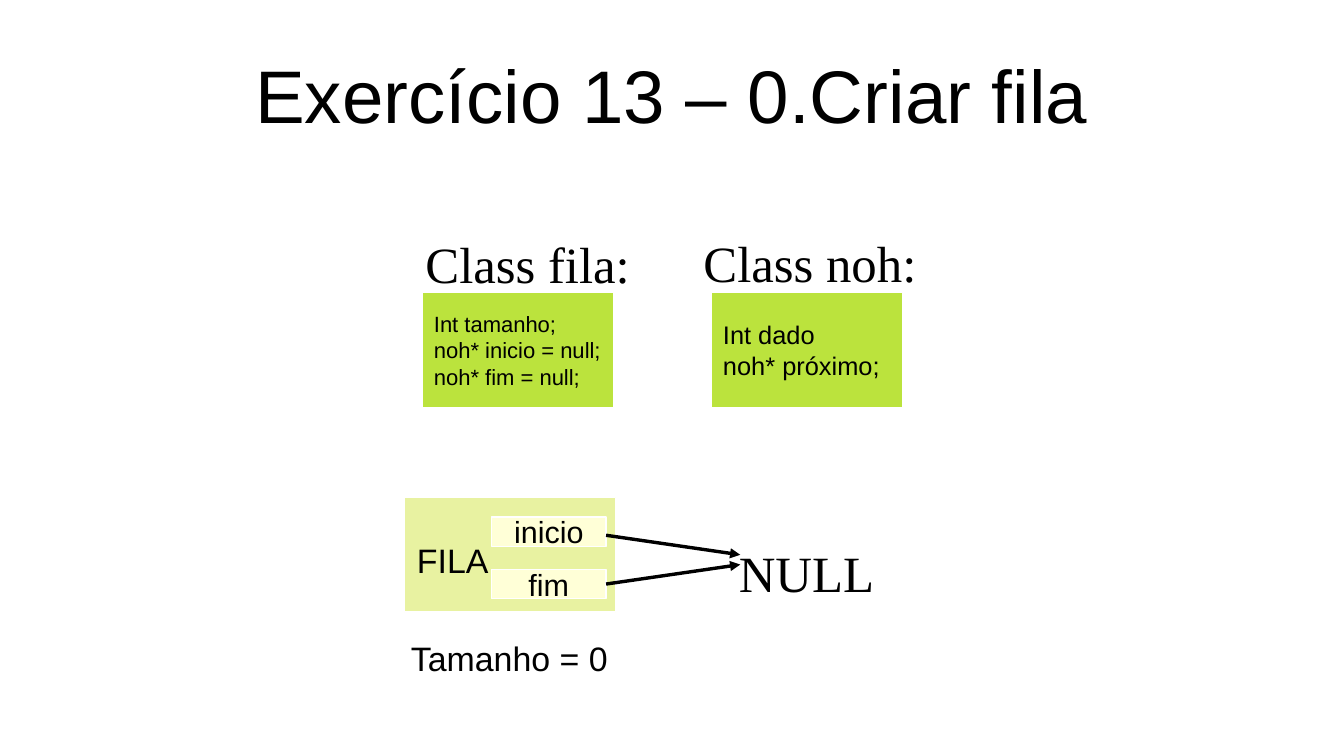
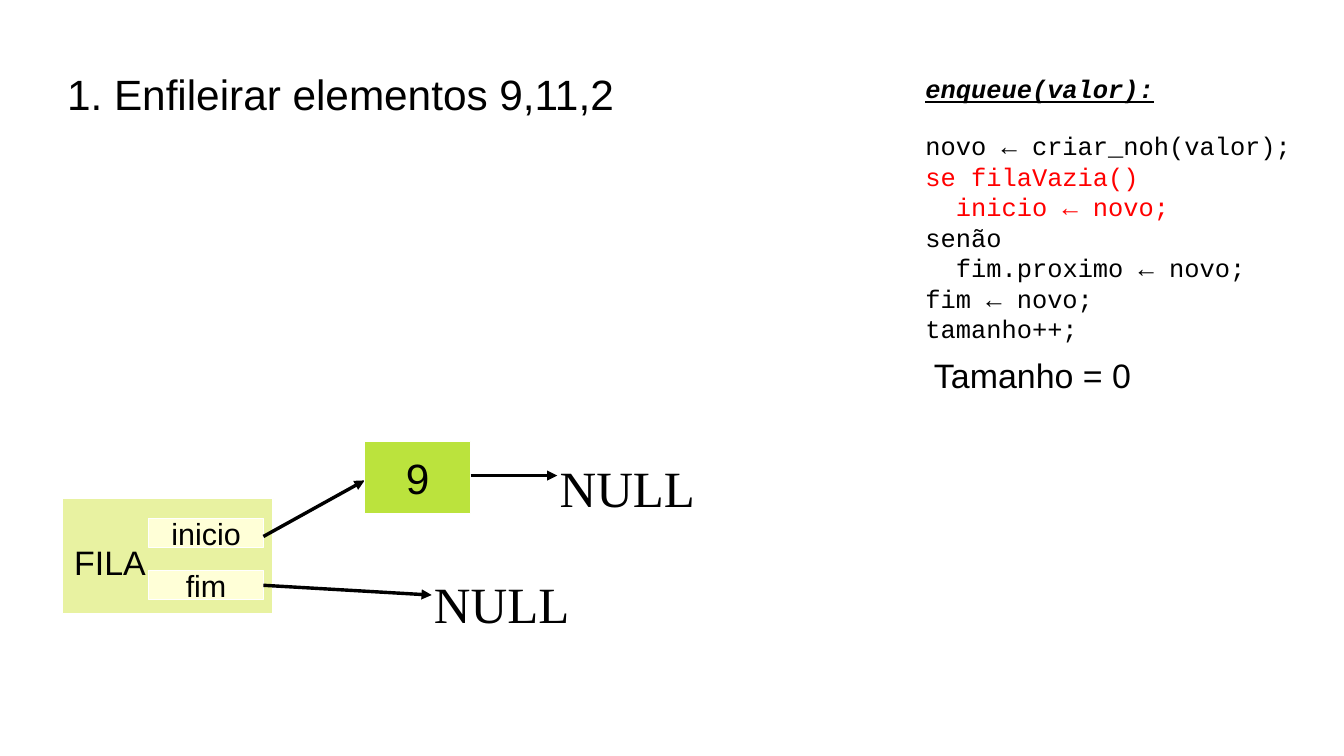
from dataclasses import dataclass, replace

from lxml.etree import SubElement
from pptx import Presentation
from pptx.dml.color import RGBColor
from pptx.enum.shapes import MSO_CONNECTOR, MSO_SHAPE
from pptx.enum.text import MSO_ANCHOR, PP_ALIGN
from pptx.oxml.ns import qn
from pptx.slide import Slide
from pptx.text.text import TextFrame
from pptx.util import Inches, Pt


@dataclass(frozen=True)
class Style:
    size: float
    font: str = "Arial"
    color: str = "000000"
    strong: bool = False  # bold, italic and underlined


@dataclass(frozen=True)
class Theme:
    green: str = "BBE33D"
    pale: str = "E8F2A1"
    cream: str = "FFFFD7"
    white: str = "FFFFFF"
    black: str = "000000"
    red: str = "FF0000"
    title: Style = Style(44)
    task: Style = Style(25)
    label: Style = Style(20)
    cell: Style = Style(18)
    serif: Style = Style(30, "Times New Roman")
    code: Style = Style(15, "Courier New")


@dataclass(frozen=True)
class Line:
    text: str
    style: Style
    indent: float = 0
    after: float = 0


@dataclass(frozen=True)
class Area:
    left: float
    top: float
    width: float
    height: float


Point = tuple[float, float]
LEFT, MID = PP_ALIGN.LEFT, PP_ALIGN.CENTER
THEME = Theme()
TITLE = Area(0.55, 0.25, 9.92, 1.04)


def place(area: Area) -> list[int]:
    return [Inches(n) for n in (area.left, area.top, area.width, area.height)]


def write(frame: TextFrame, lines: list[Line], align: PP_ALIGN) -> None:
    for i, line in enumerate(lines):
        para = frame.add_paragraph() if i else frame.paragraphs[0]
        para.alignment = align
        para.space_after = Pt(line.after)
        if line.indent:
            para._p.get_or_add_pPr().set("marL", str(Inches(line.indent)))
        run = para.add_run()
        run.text = line.text
        font, style = run.font, line.style
        font.name, font.size = style.font, Pt(style.size)
        font.color.rgb = RGBColor.from_string(style.color)
        font.bold = font.italic = font.underline = style.strong


def add_text(slide: Slide, area: Area, lines: list[Line]) -> None:
    frame = slide.shapes.add_textbox(*place(area)).text_frame
    frame.word_wrap = True
    write(frame, lines, LEFT)


def add_title(slide: Slide, text: str, style: Style, align: PP_ALIGN) -> None:
    frame = slide.shapes.add_textbox(*place(TITLE)).text_frame
    frame.word_wrap = True
    frame.vertical_anchor = MSO_ANCHOR.MIDDLE
    frame.margin_left = frame.margin_right = 0
    frame.margin_top = frame.margin_bottom = 0
    write(frame, [Line(text, style)], align)


def add_box(slide: Slide, area: Area, fill: str, lines: list[Line],
            align: PP_ALIGN = MID) -> None:
    box = slide.shapes.add_shape(MSO_SHAPE.RECTANGLE, *place(area))
    box.shadow.inherit = False
    box.fill.solid()
    box.fill.fore_color.rgb = RGBColor.from_string(fill)
    box.line.color.rgb = RGBColor.from_string(THEME.white)
    box.line.width = Pt(0)
    box.text_frame.word_wrap = False
    box.text_frame.vertical_anchor = MSO_ANCHOR.MIDDLE
    write(box.text_frame, lines, align)


def add_arrow(slide: Slide, start: Point, end: Point) -> None:
    ends = [Inches(n) for n in (*start, *end)]
    arrow = slide.shapes.add_connector(MSO_CONNECTOR.STRAIGHT, *ends)
    arrow.line.color.rgb = RGBColor.from_string(THEME.black)
    arrow.line.width = Pt(0)
    props = arrow.element.spPr
    SubElement(props.find(qn("a:ln")), qn("a:tailEnd"), type="triangle")
    SubElement(props, qn("a:effectLst"))


def add_null(slide: Slide, left: float, top: float) -> None:
    add_text(slide, Area(left, top, 1.34, 0.52), [Line("NULL", THEME.serif)])


def add_count(slide: Slide, left: float, top: float) -> None:
    add_text(slide, Area(left, top, 1.89, 0.41),
             [Line("Tamanho = 0", THEME.label)])


def add_queue(slide: Slide, left: float, top: float,
              first: Point, last: Point) -> None:
    """Draw the queue and the arrows that leave its two cells."""
    add_box(slide, Area(left, top, 1.73, 0.94), THEME.pale, [])
    cells = (("inicio", 0.16, 0.31, first), ("fim", 0.59, 0.71, last))
    for name, drop, exit_drop, end in cells:
        area = Area(left + 0.71, top + drop, 0.94, 0.24)
        add_box(slide, area, THEME.cream, [Line(name, THEME.cell)])
        add_arrow(slide, (left + 1.65, top + exit_drop), end)
    add_text(slide, Area(left, top + 0.3, 0.79, 0.41),
             [Line("FILA", THEME.label)])


def add_class(slide: Slide, left: float, head: Area, name: str,
              size: float, fields: list[str]) -> None:
    lines = [Line(field, Style(size)) for field in fields]
    add_box(slide, Area(left, 2.4, 1.57, 0.94), THEME.green, lines, LEFT)
    add_text(slide, head, [Line(name, THEME.serif)])


def draw_start(slide: Slide) -> None:
    add_title(slide, "Exercício 13 – 0.Criar fila", THEME.title, MID)
    # Classes
    add_class(slide, 3.46, Area(3.39, 1.86, 1.89, 0.54), "Class fila:", 13,
              ["Int tamanho;", "noh* inicio = null;", "noh* fim = null;"])
    add_class(slide, 5.83, Area(5.67, 1.85, 1.97, 0.54), "Class noh:", 15,
              ["Int dado", "noh* próximo;"])
    # Empty queue
    add_queue(slide, 3.32, 4.08, (6.07, 4.55), (6.07, 4.63))
    add_null(slide, 5.96, 4.39)
    add_count(slide, 3.27, 5.18)


def draw_push(slide: Slide) -> None:
    add_title(slide, "1. Enfileirar elementos 9,11,2", THEME.task, LEFT)
    # Queue and first node
    add_queue(slide, 0.51, 4.09, (2.99, 3.94), (3.54, 4.88))
    add_null(slide, 3.46, 4.65)
    add_box(slide, Area(2.99, 3.62, 0.87, 0.59), THEME.green,
            [Line("9", THEME.task)])
    add_arrow(slide, (3.86, 3.9), (4.57, 3.9))
    add_null(slide, 4.49, 3.7)
    # Code, with the active step in red
    code = THEME.code
    live = replace(code, color=THEME.red)
    step = 0.25
    add_text(slide, Area(7.49, 0.55, 3.26, 2.32), [
        Line("enqueue(valor):", replace(code, strong=True), after=16),
        Line("novo ← criar_noh(valor);", code),
        Line("se filaVazia()", live),
        Line("inicio ← novo;", live, step),
        Line("senão", code),
        Line("fim.proximo ← novo;", code, step),
        Line("fim ← novo;", code),
        Line("tamanho++;", code),
    ])
    add_count(slide, 7.56, 2.86)


def main() -> None:
    deck = Presentation()
    deck.slide_width, deck.slide_height = Inches(11.02), Inches(6.2)
    for draw in (draw_start, draw_push):
        draw(deck.slides.add_slide(deck.slide_layouts[6]))
    deck.save("out.pptx")


main()
